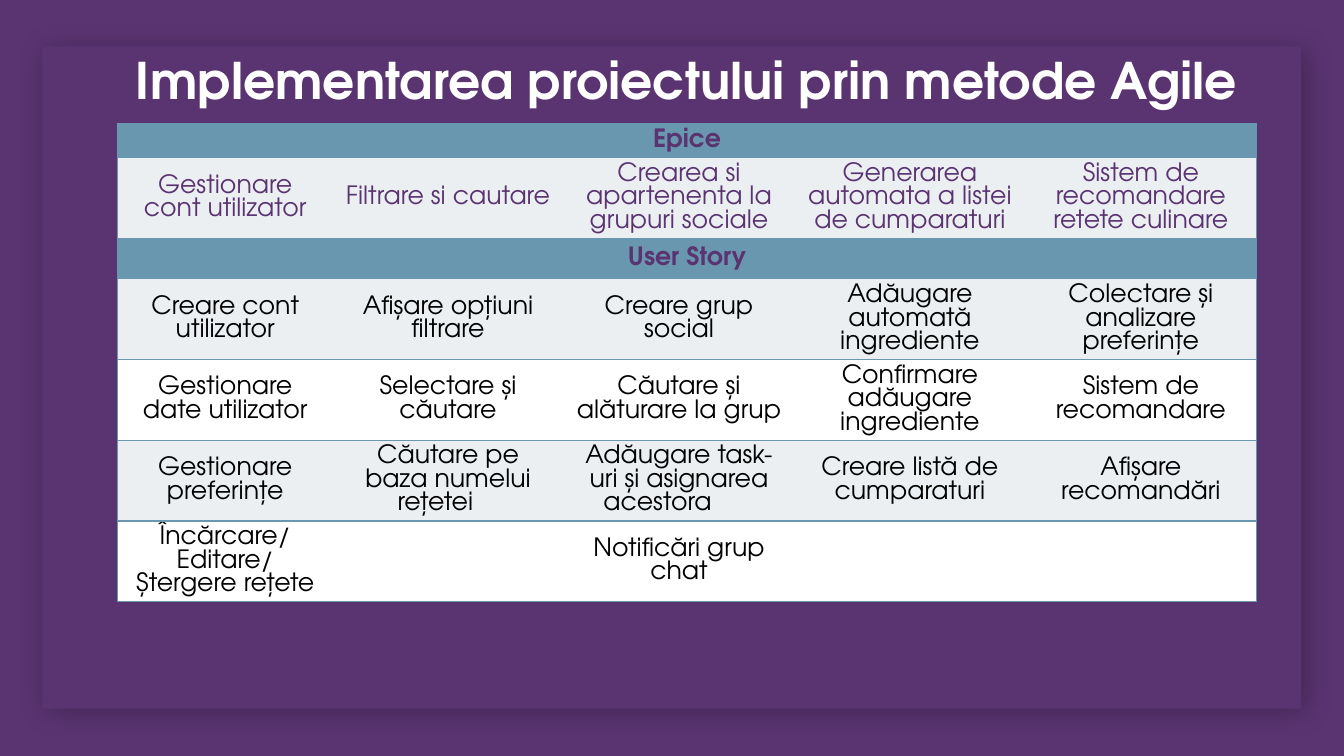
import dataclasses

import pptx
import pptx.dml.color
import pptx.enum.shapes
import pptx.enum.text
import pptx.oxml
import pptx.oxml.ns
import pptx.util
from pptx.util import Cm


@dataclasses.dataclass(frozen=True)
class Theme:
    font: str = "TeX Gyre Adventor"
    purple: str = "5A3471"
    teal: str = "6997AF"
    pale: str = "EBEFF2"
    white: str = "FFFFFF"
    black: str = "000000"
    title_size: float = 36
    table_size: float = 18
    table_leading: float = 16.8
    border_width: float = 1


THEME = Theme()

EPICS = [
    "Gestionare cont utilizator",
    "Filtrare si cautare",
    "Crearea si apartenenta la grupuri sociale",
    "Generarea automata a listei de cumparaturi",
    "Sistem de recomandare retete culinare",
]
STORIES = [
    ["Creare cont utilizator", "Afișare opțiuni filtrare", "Creare grup social",
     "Adăugare automată ingrediente", "Colectare și analizare preferințe"],
    ["Gestionare date utilizator", "Selectare și căutare", "Căutare și alăturare la grup",
     "Confirmare adăugare ingrediente", "Sistem de recomandare"],
    ["Gestionare preferințe", "Căutare pe baza numelui rețetei\t",
     "Adăugare task-uri și asignarea acestora\t", "Creare listă de cumparaturi",
     "Afișare recomandări"],
    ["Încărcare/Editare/Ștergere rețete", "", "Notificări grup chat", "", ""],
]
COLUMN_WIDTHS = [Cm(5.41)] + [Cm(5.82)] * 4
EPIC_HEADING_HEIGHT = Cm(0.86)
STORY_HEADING_HEIGHT = Cm(1.02)
ENTRY_HEIGHT = Cm(2.03)


def rgb(color):
    return pptx.dml.color.RGBColor.from_string(color)


def paint(fill, color):
    fill.solid()
    fill.fore_color.rgb = rgb(color)


def write(frame, text, size, color, bold):
    paragraph = frame.paragraphs[0]
    paragraph.alignment = pptx.enum.text.PP_ALIGN.CENTER
    if text:
        run = paragraph.add_run()
        run.text = text
        run.font.name = THEME.font
        run.font.size = pptx.util.Pt(size)
        run.font.bold = bold
        run.font.color.rgb = rgb(color)
    return paragraph


def add_panel(slide):
    panel = slide.shapes.add_shape(
        pptx.enum.shapes.MSO_SHAPE.RECTANGLE, Cm(1.07), Cm(1.17), Cm(31.72), Cm(16.69))
    paint(panel.fill, THEME.purple)
    panel.line.fill.background()
    panel.element.spPr.append(pptx.oxml.parse_xml(
        f'<a:effectLst {pptx.oxml.ns.nsdecls("a")}>'
        f'<a:outerShdw blurRad="{pptx.util.Pt(20)}" dist="{pptx.util.Pt(4)}" '
        f'dir="2700000" algn="tl" rotWithShape="0"><a:srgbClr val="{THEME.black}">'
        '<a:alpha val="25000"/></a:srgbClr></a:outerShdw></a:effectLst>'))
    slide.shapes.element.insert(2, panel.element)


def format_title(slide, text):
    title = slide.shapes.title
    title.left, title.top, title.width, title.height = Cm(1.83), Cm(1.19), Cm(30.94), Cm(1.63)
    frame = title.text_frame
    frame.word_wrap = True
    frame.auto_size = pptx.enum.text.MSO_AUTO_SIZE.NONE
    frame.vertical_anchor = pptx.enum.text.MSO_ANCHOR.MIDDLE
    frame.margin_top = frame.margin_bottom = 0
    write(frame, text, THEME.title_size, THEME.white, True)


def set_borders(cell, sides):
    properties = cell._tc.get_or_add_tcPr()
    for side in "LRTB":
        line = "<a:noFill/>"
        if side in sides:
            line = f'<a:solidFill><a:srgbClr val="{THEME.teal}"/></a:solidFill>'
        properties.append(pptx.oxml.parse_xml(
            f'<a:ln{side} {pptx.oxml.ns.nsdecls("a")} '
            f'w="{pptx.util.Pt(THEME.border_width)}">{line}</a:ln{side}>'))


def format_cell(cell, text, fill, color, bold, sides):
    set_borders(cell, sides)
    paint(cell.fill, fill)
    cell.vertical_anchor = pptx.enum.text.MSO_ANCHOR.MIDDLE
    paragraph = write(cell.text_frame, text, THEME.table_size, color, bold)
    paragraph.line_spacing = pptx.util.Pt(THEME.table_leading)


def fill_heading(table, row, text, height):
    table.rows[row].height = height
    heading = table.cell(row, 0)
    heading.merge(table.cell(row, len(COLUMN_WIDTHS) - 1))
    format_cell(heading, text, THEME.teal, THEME.purple, True, "LRTB")


def fill_entries(table, row, entries, fill, color):
    table.rows[row].height = ENTRY_HEIGHT
    last = len(entries) - 1
    for column, entry in enumerate(entries):
        sides = "TB" + ("L" if column == 0 else "") + ("R" if column == last else "")
        format_cell(table.cell(row, column), entry, fill, color, False, sides)


def add_backlog(slide):
    height = EPIC_HEADING_HEIGHT + STORY_HEADING_HEIGHT + ENTRY_HEIGHT * (len(STORIES) + 1)
    table = slide.shapes.add_table(
        len(STORIES) + 3, len(COLUMN_WIDTHS),
        Cm(2.97), Cm(3.11), sum(COLUMN_WIDTHS), height).table
    table.first_row = False
    table.horz_banding = False
    for column, width in zip(table.columns, COLUMN_WIDTHS):
        column.width = width
    fill_heading(table, 0, "Epice", EPIC_HEADING_HEIGHT)
    fill_entries(table, 1, EPICS, THEME.pale, THEME.purple)
    fill_heading(table, 2, "User Story", STORY_HEADING_HEIGHT)
    for index, stories in enumerate(STORIES):
        band = THEME.white if index % 2 else THEME.pale
        fill_entries(table, index + 3, stories, band, THEME.black)


def main():
    presentation = pptx.Presentation()
    presentation.slide_width = Cm(33.87)
    presentation.slide_height = Cm(19.05)
    slide = presentation.slides.add_slide(presentation.slide_layouts[5])
    paint(slide.background.fill, THEME.purple)
    add_panel(slide)
    format_title(slide, "Implementarea proiectului prin metode Agile")
    add_backlog(slide)
    presentation.save("out.pptx")


if __name__ == "__main__":
    main()
